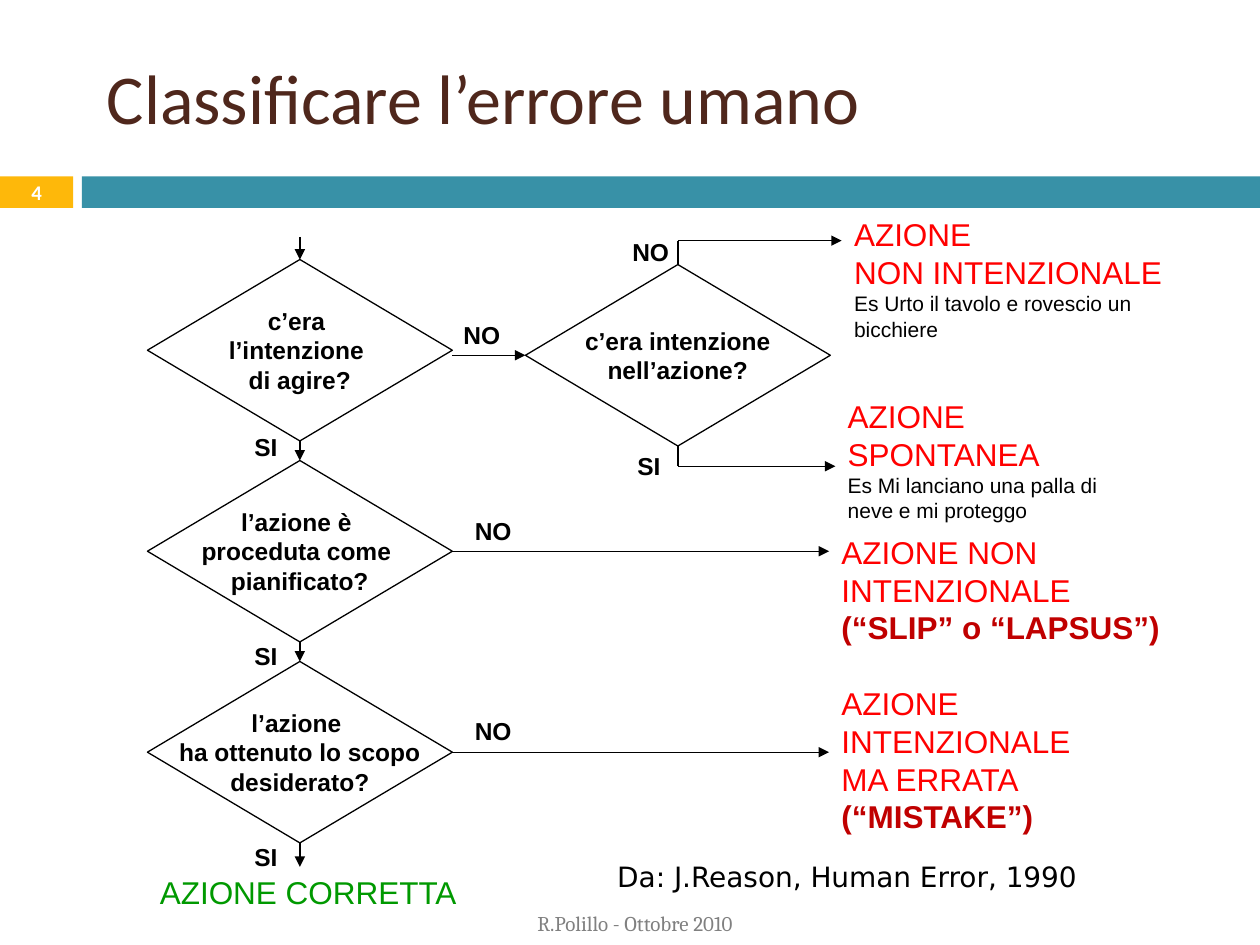
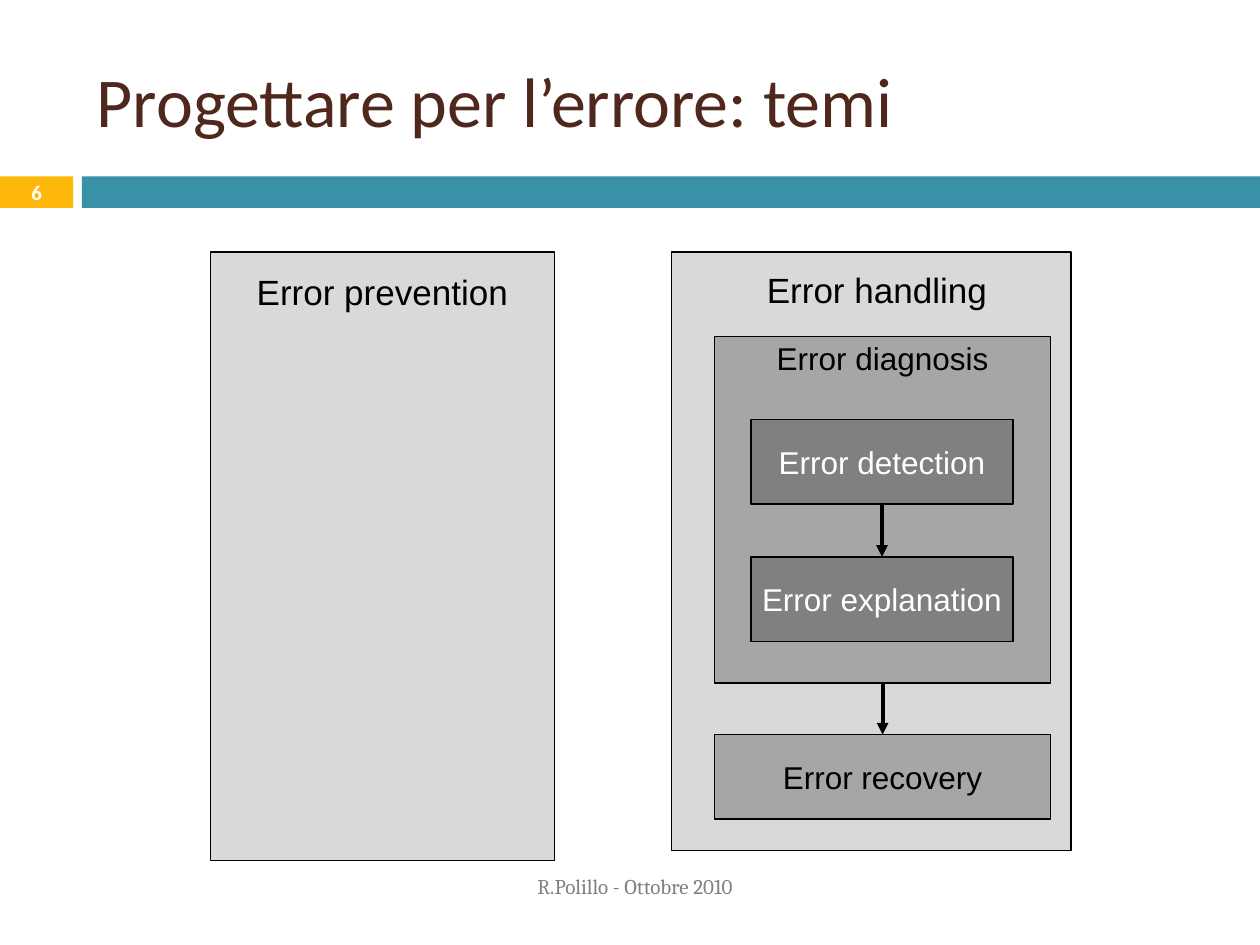
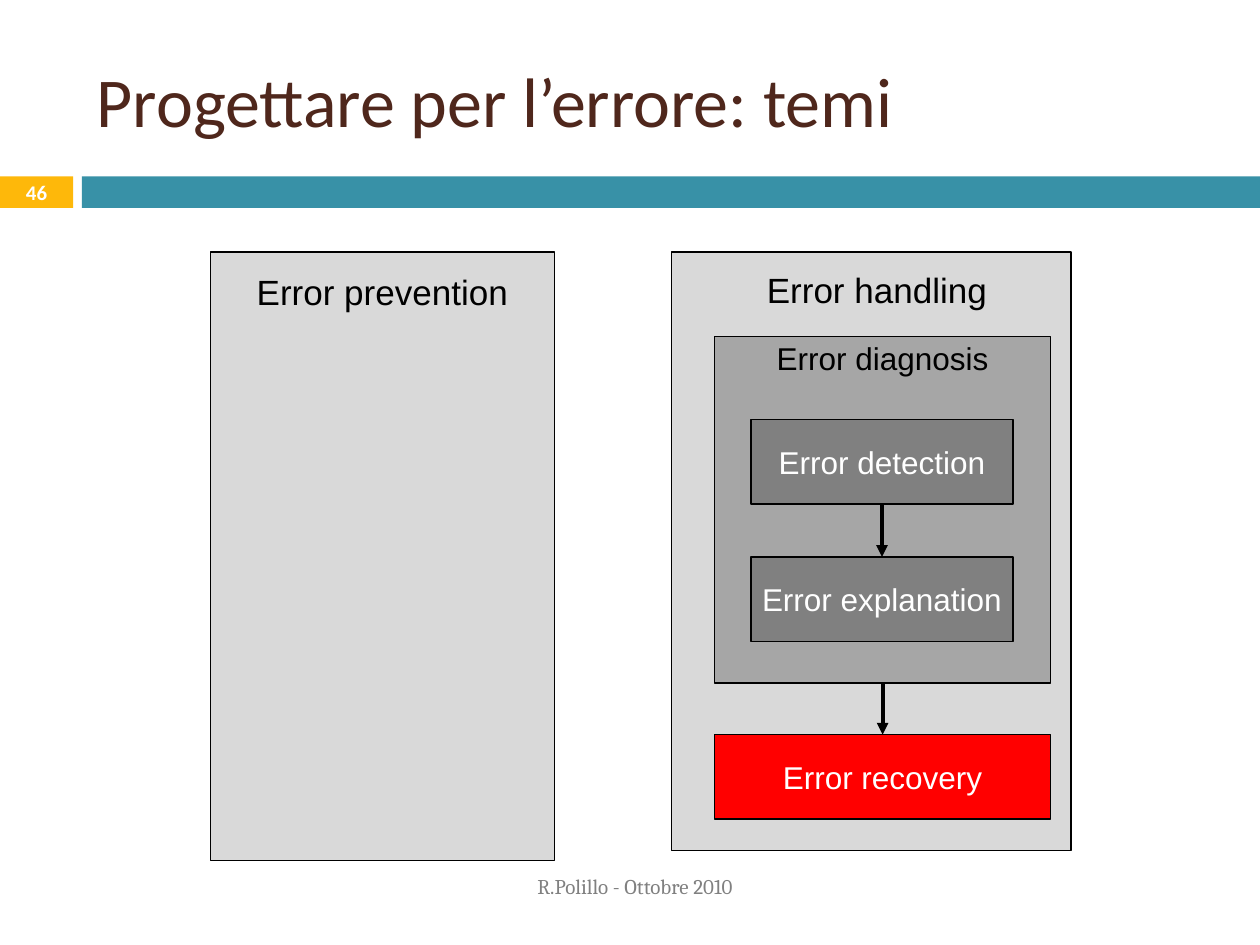
from lxml import etree
from pptx import Presentation
from pptx.dml.color import RGBColor
from pptx.enum.shapes import MSO_CONNECTOR, MSO_SHAPE
from pptx.enum.text import MSO_ANCHOR, PP_ALIGN
from pptx.oxml.ns import qn
from pptx.util import Inches, Pt

RECT = MSO_SHAPE.RECTANGLE
DIAMOND = MSO_SHAPE.FLOWCHART_DECISION
STRAIGHT = MSO_CONNECTOR.STRAIGHT
TOP, MIDDLE = MSO_ANCHOR.TOP, MSO_ANCHOR.MIDDLE
LEFT, CENTER = PP_ALIGN.LEFT, PP_ALIGN.CENTER
NORTH, WEST, SOUTH, EAST = range(4)

BLACK = RGBColor(0x00, 0x00, 0x00)
WHITE = RGBColor(0xFF, 0xFF, 0xFF)
BROWN = RGBColor(0x4F, 0x27, 0x1C)
AMBER = RGBColor(0xFE, 0xB8, 0x0A)
TEAL = RGBColor(0x38, 0x91, 0xA7)
RED = RGBColor(0xFF, 0x00, 0x00)
CRIMSON = RGBColor(0xC0, 0x00, 0x00)
GREEN = RGBColor(0x00, 0x99, 0x00)
PALE = RGBColor(0xD9, 0xD9, 0xD9)
SILVER = RGBColor(0xA6, 0xA6, 0xA6)
GRAY = RGBColor(0x80, 0x80, 0x80)

THIN, THICK = 0.75, 2.25
ASK_W, ASK_H = 2.42, 1.44


def style(par, size, color=BLACK, bold=False, font="Arial", align=LEFT):
    par.alignment = align
    for run in par.runs:
        run.font.name = font
        run.font.size = Pt(size)
        run.font.bold = bold
        run.font.color.rgb = color


def label(slide, box, text, size, color=BLACK, bold=False, font="Arial",
          align=LEFT, anchor=TOP):
    frame = slide.shapes.add_textbox(*map(Inches, box)).text_frame
    frame.word_wrap = True
    frame.vertical_anchor = anchor
    frame.text = text
    for par in frame.paragraphs:
        style(par, size, color, bold, font, align)
    return frame


def node(slide, kind, box, fill=None, line=BLACK, text="", size=18,
         color=BLACK, bold=False, anchor=MIDDLE, inset=0.05):
    """Preset shape with centred text; fill or line may be None."""
    shape = slide.shapes.add_shape(kind, *map(Inches, box))
    shape.shadow.inherit = False
    if fill is None:
        shape.fill.background()
    else:
        shape.fill.solid()
        shape.fill.fore_color.rgb = fill
    if line is None:
        shape.line.fill.background()
    else:
        shape.line.color.rgb = line
        shape.line.width = Pt(THIN)
    frame = shape.text_frame
    frame.word_wrap = False
    frame.vertical_anchor = anchor
    frame.margin_top = Inches(inset)
    frame.text = text
    for par in frame.paragraphs:
        style(par, size, color, bold, align=CENTER)
    return shape


def wire(slide, points, weight=THIN, head=True, begin=None, end=None):
    """Line between two points; begin and end are (shape, site) joints."""
    line = slide.shapes.add_connector(STRAIGHT, *map(Inches, points))
    line.line.color.rgb = BLACK
    line.line.width = Pt(weight)
    if head:
        etree.SubElement(line.line._get_or_add_ln(), qn("a:tailEnd"), type="triangle")
    etree.SubElement(line._element.spPr, qn("a:effectLst"))
    if begin:
        line.begin_connect(*begin)
    if end:
        line.end_connect(*end)


def base(deck, title, box, number, foot):
    """New slide with bands, title, page number and footer."""
    slide = deck.slides.add_slide(deck.slide_layouts[6])
    node(slide, RECT, (0, 1.4, 0.58, 0.25), AMBER, None)
    node(slide, RECT, (0.65, 1.4, 9.35, 0.25), TEAL, None)
    label(slide, box, title, 40, BROWN, font="Calibri", anchor=MIDDLE)
    label(slide, (0, 1.39, 0.58, 0.27), number, 11.9, WHITE, True, "Calibri",
          CENTER, MIDDLE)
    label(slide, (0.67, foot, 8.74, 0.4), "R.Polillo - Ottobre 2010", 12, GRAY,
          font="Cambria", align=CENTER, anchor=MIDDLE)
    return slide


def ask(slide, x, y, text):
    return node(slide, DIAMOND, (x, y, ASK_W, ASK_H), text=text, size=14, bold=True)


def verdict(slide, box, text, note, size, color, bold=False):
    """Red outcome whose last paragraph is a note in its own style."""
    frame = label(slide, box, text, 18, RED)
    par = frame.add_paragraph()
    par.text = note
    style(par, size, color, bold)


def errors(deck):
    slide = base(deck, "Classificare l’errore umano", (0.75, 0.14, 8.5, 1.25),
                 "4", 7.13)
    left, mid = 1.17, 2.38
    right = left + ASK_W
    texts = ("c’era \nl’intenzione \ndi agire?",
             "l’azione è \nproceduta come \npianificato?",
             "l’azione \nha ottenuto lo scopo\ndesiderato?")
    tops = [2.06 + 1.595 * i for i in range(3)]
    act, plan, goal = (ask(slide, left, y, t) for y, t in zip(tops, texts))
    aim = ask(slide, 4.17, 2.1, "c’era intenzione\nnell’azione?")

    wire(slide, (mid, 1.88, mid, 2.06), end=(act, NORTH))
    for upper, lower in ((act, plan), (plan, goal)):
        wire(slide, (mid, 0, mid, 0), begin=(upper, SOUTH), end=(lower, NORTH))
    wire(slide, (mid, 6.69, mid, 6.88), begin=(goal, SOUTH))
    wire(slide, (right, 2.82, 4.17, 2.82), end=(aim, WEST))
    for shape, y in zip((plan, goal), tops[1:]):
        level = y + ASK_H / 2
        wire(slide, (right, level, 6.58, level), begin=(shape, EAST))
    for site, edge, y, tip in ((NORTH, 2.1, 1.91, 6.68), (SOUTH, 3.54, 3.7, 6.63)):
        wire(slide, (5.38, edge, 5.38, y), head=False, begin=(aim, site))
        wire(slide, (5.38, y, tip, y))

    for word, x, y in (("NO", 3.58, 2.49), ("NO", 3.67, 4.05), ("NO", 3.67, 5.63),
                       ("NO", 4.92, 1.83), ("SI", 4.96, 3.53), ("SI", 1.92, 3.38),
                       ("SI", 1.92, 5.04), ("SI", 1.92, 6.63)):
        label(slide, (x, y, 0.67, 0.33), word, 14, bold=True)

    verdict(slide, (6.68, 1.66, 2.65, 1.11), "AZIONE \nNON INTENZIONALE",
            "Es Urto il tavolo e rovescio un bicchiere", 12, BLACK)
    verdict(slide, (6.63, 3.1, 2.5, 1.11), "AZIONE SPONTANEA",
            "Es Mi lanciano una palla di neve e mi proteggo", 12, BLACK)
    verdict(slide, (6.58, 4.18, 2.92, 1), "AZIONE NON\nINTENZIONALE",
            "(“SLIP” o “LAPSUS”)", 18, CRIMSON, True)
    verdict(slide, (6.58, 5.38, 2.5, 1.3), "AZIONE INTENZIONALE \nMA ERRATA",
            "(“MISTAKE”)", 18, CRIMSON, True)
    label(slide, (left, 6.88, 3.42, 0.4), "AZIONE CORRETTA", 18, GREEN)
    label(slide, (4.8, 6.77, 5.08, 0.37), "Da: J.Reason, Human Error, 1990", 16,
          font="DejaVu Sans")


def themes(deck, number, fill, color):
    """Theme map; fill and color set the look of the recovery box."""
    slide = base(deck, "Progettare per l’errore: temi", (0.67, 0.25, 8.92, 1.08),
                 number, 6.83)
    node(slide, RECT, (1.67, 2, 2.73, 4.83), PALE, text="Error prevention",
         size=20, anchor=TOP, inset=0.15)
    node(slide, RECT, (5.33, 2, 3.17, 4.75), PALE)
    node(slide, RECT, (5.75, 2.08, 2.42, 0.43), PALE, None, "Error handling", 20,
         anchor=TOP)
    cause = node(slide, RECT, (5.67, 2.67, 2.67, 2.75), SILVER,
                 text="Error diagnosis", anchor=TOP, inset=0.02)
    mend = node(slide, RECT, (5.67, 5.83, 2.67, 0.67), fill, text="Error recovery",
                color=color)
    find, tell = (node(slide, RECT, (5.96, y, 2.08, 0.67), GRAY, text=text, color=WHITE)
                  for y, text in ((3.33, "Error detection"), (4.42, "Error explanation")))
    for upper, lower in ((find, tell), (cause, mend)):
        wire(slide, (7, 0, 7, 0), THICK, begin=(upper, SOUTH), end=(lower, NORTH))


def main():
    deck = Presentation()
    deck.slide_width, deck.slide_height = Inches(10), Inches(7.5)
    errors(deck)
    themes(deck, "6", SILVER, BLACK)
    themes(deck, "46", RED, WHITE)
    deck.save("out.pptx")


if __name__ == "__main__":
    main()
